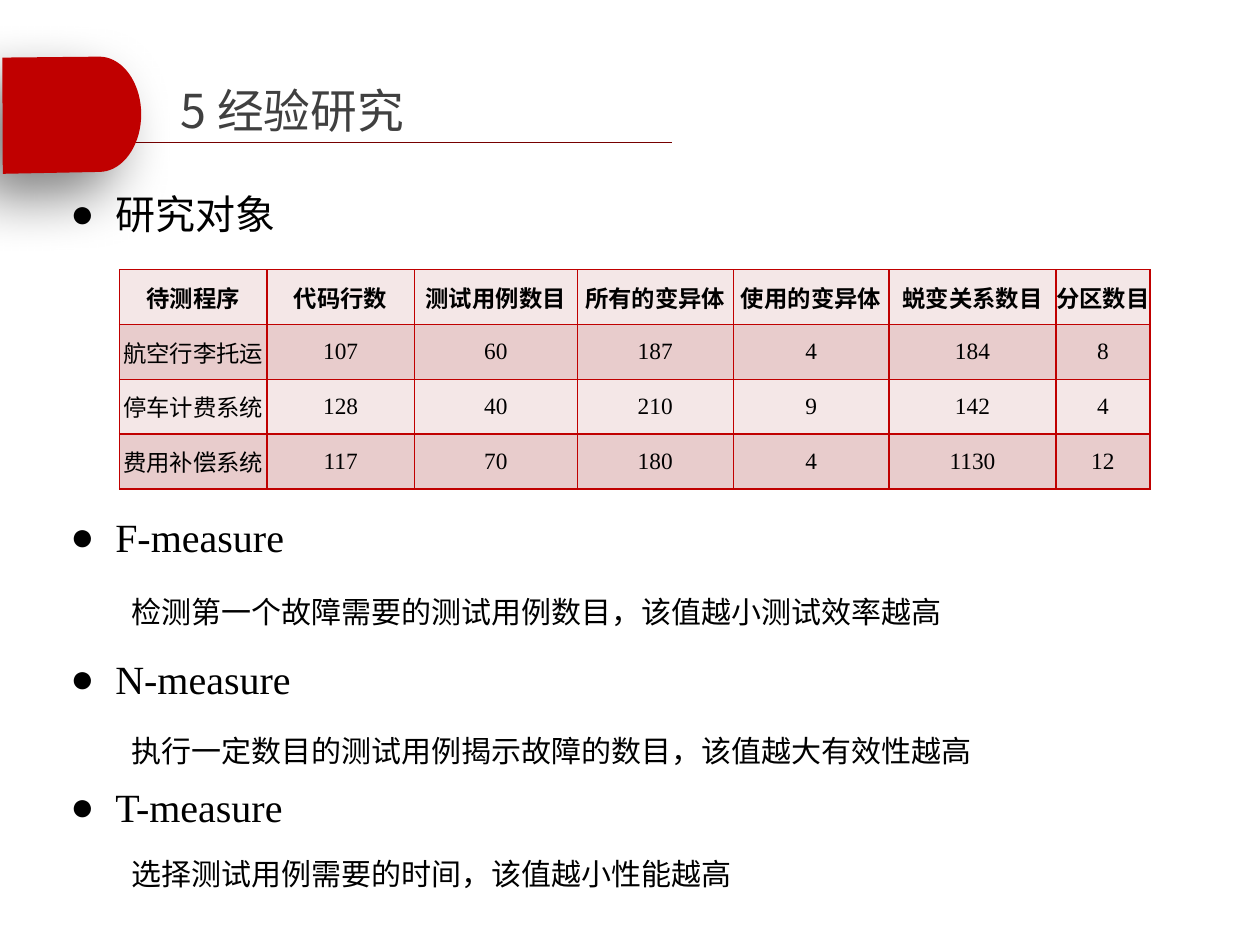
import math
from dataclasses import dataclass

import pptx
import pptx.dml.color
import pptx.enum.shapes
import pptx.enum.text
import pptx.oxml
import pptx.oxml.ns
import pptx.util

Cm = pptx.util.Cm
Pt = pptx.util.Pt
ALIGN = pptx.enum.text.PP_ALIGN
ANCHOR = pptx.enum.text.MSO_ANCHOR


@dataclass(frozen=True)
class Theme:
    red: str = "C00000"
    rule: str = "760000"
    grey: str = "404040"
    black: str = "000000"
    bands: tuple = ("F4E7E7", "E8CCCC")
    sans: str = "Noto Sans CJK SC"
    serif: str = "Times New Roman"
    title: int = 28
    head: int = 24
    note: int = 18
    cell: int = 14


THEME = Theme()

ROWS = [
    ("待测程序", "代码行数", "测试用例数目", "所有的变异体", "使用的变异体",
     "蜕变关系数目", "分区数目"),
    ("航空行李托运", "107", "60", "187", "4", "184", "8"),
    ("停车计费系统", "128", "40", "210", "9", "142", "4"),
    ("费用补偿系统", "117", "70", "180", "4", "1130", "12"),
]
WIDTHS = (3.12, 3.12, 3.45, 3.3, 3.3, 3.53, 1.99)

# Heading, space before it, note, space before the note (points)
TERMS = [
    ("F-measure", 0, "检测第一个故障需要的测试用例数目，该值越小测试效率越高", 11.4),
    ("N-measure", 13.8, "执行一定数目的测试用例揭示故障的数目，该值越大有效性越高", 9.6),
    ("T-measure", 7.2, "选择测试用例需要的时间，该值越小性能越高", 6.6),
]


def rgb(code):
    return pptx.dml.color.RGBColor.from_string(code)


def add_xml(parent, body):
    """Append one drawing element, given without its namespace."""
    space = pptx.oxml.ns.nsdecls("a")
    tag, rest = body.split(" ", 1)
    parent.append(pptx.oxml.parse_xml(f"<a:{tag} {space} {rest}"))


def write(par, text, size, font=THEME.serif, color=THEME.black, bold=False,
          align=ALIGN.LEFT, before=0, line=None):
    par.alignment = align
    par.space_before = Pt(before)
    if line:
        par.line_spacing = Pt(line)
    run = par.add_run()
    run.text = text
    run.font.size = Pt(size)
    run.font.bold = bold
    run.font.name = font
    run.font.color.rgb = rgb(color)
    add_xml(run.font._element, f'ea typeface="{THEME.sans}"/>')


def indent(par, left, first=0, mark=None):
    props = par._p.get_or_add_pPr()
    props.set("marL", str(Cm(left)))
    props.set("indent", str(Cm(first)))
    if mark:
        add_xml(props, f'buFont typeface="{THEME.serif}"/>')
        add_xml(props, f'buChar char="{mark}"/>')
    else:
        add_xml(props, "buNone />")


def place(holder, left, top, width, height, anchor=ANCHOR.TOP, pad=(0.25, 0.13)):
    holder.left, holder.top = Cm(left), Cm(top)
    holder.width, holder.height = Cm(width), Cm(height)
    frame = holder.text_frame
    frame.word_wrap = True
    frame.auto_size = pptx.enum.text.MSO_AUTO_SIZE.NONE
    frame.vertical_anchor = anchor
    frame.margin_left = frame.margin_right = Cm(pad[0])
    frame.margin_top = frame.margin_bottom = Cm(pad[1])
    return frame


def add_rule(slide):
    kind = pptx.enum.shapes.MSO_CONNECTOR.STRAIGHT
    rule = slide.shapes.add_connector(kind, Cm(1.75), Cm(3.01), Cm(14.23), Cm(3.01))
    rule.line.color.rgb = rgb(THEME.rule)
    rule.line.width = Pt(0.75)
    add_xml(rule._element.spPr, "effectLst />")


def add_tab(slide):
    # Rounded right end: half an ellipse, from top to bottom
    turns = [math.radians(a) for a in range(-90, 91, 5)]
    curve = [(Cm(2.1 + 0.89 * math.cos(t)), Cm(2.42 + 1.22 * math.sin(t)))
             for t in turns]
    pen = slide.shapes.build_freeform(Cm(0.05), Cm(1.22))
    pen.add_line_segments(curve + [(Cm(0.06), Cm(3.68))], close=True)
    tab = pen.convert_to_shape()
    tab.fill.solid()
    tab.fill.fore_color.rgb = rgb(THEME.red)
    tab.line.fill.background()
    add_xml(tab._element.spPr,
            f'effectLst ><a:outerShdw blurRad="{Pt(35)}" dist="{Pt(20)}" '
            f'dir="{135 * 60000}" algn="ctr" rotWithShape="0">'
            f'<a:srgbClr val="{THEME.black}"><a:alpha val="50000"/></a:srgbClr>'
            '</a:outerShdw></a:effectLst>')


def fill_cell(cell, text, band, bold, font):
    cell.margin_left = cell.margin_right = 0
    cell.margin_top = cell.margin_bottom = 0
    cell.vertical_anchor = ANCHOR.MIDDLE
    write(cell.text_frame.paragraphs[0], text, THEME.cell, font=font,
          bold=bold, align=ALIGN.CENTER)
    props = cell._tc.get_or_add_tcPr()
    for side in ("lnL", "lnR", "lnT", "lnB"):
        add_xml(props, f'{side} w="{Pt(1)}"><a:solidFill>'
                       f'<a:srgbClr val="{THEME.red}"/></a:solidFill></a:{side}>')
    cell.fill.solid()
    cell.fill.fore_color.rgb = rgb(band)


def add_grid(slide):
    high = 1.16
    grid = slide.shapes.add_table(len(ROWS), len(WIDTHS), Cm(2.53), Cm(5.71),
                                  Cm(sum(WIDTHS)), Cm(high * len(ROWS))).table
    for col, width in zip(grid.columns, WIDTHS):
        col.width = Cm(width)
    for r, row in enumerate(ROWS):
        grid.rows[r].height = Cm(high)
        for c, text in enumerate(row):
            font = THEME.sans if r == 0 or c == 0 else THEME.serif
            fill_cell(grid.cell(r, c), text, THEME.bands[r % 2], r == 0, font)


def add_head(par, text, **style):
    write(par, text, THEME.head, **style)
    indent(par, 0.95, -0.95, "●")


def add_terms(frame):
    par = frame.paragraphs[0]
    for n, (head, gap, note, space) in enumerate(TERMS):
        if n:
            par = frame.add_paragraph()
        add_head(par, head, before=gap, line=30)
        par = frame.add_paragraph()
        write(par, note, THEME.note, before=space, line=30)
        indent(par, 1.3)


def main():
    deck = pptx.Presentation()
    # Four by three page
    deck.slide_width = Cm(26.67)
    deck.slide_height = deck.slide_width * 3 // 4
    slide = deck.slides.add_slide(deck.slide_layouts.get_by_name("Two Content"))
    title, topic, terms = slide.placeholders

    # Title band
    add_rule(slide)
    add_tab(slide)
    frame = place(title, 3.53, 1.07, 8.61, 2.51, ANCHOR.MIDDLE, (0.3, 0.15))
    write(frame.paragraphs[0], "5 经验研究", THEME.title, font=THEME.sans,
          color=THEME.grey)

    # Study subjects
    frame = place(topic, 1.24, 3.89, 5.79, 1.27)
    add_head(frame.paragraphs[0], "研究对象", font=THEME.sans)
    add_grid(slide)

    # Measures
    add_terms(place(terms, 1.24, 10.68, 22.3, 8.3))

    deck.save("out.pptx")


if __name__ == "__main__":
    main()
